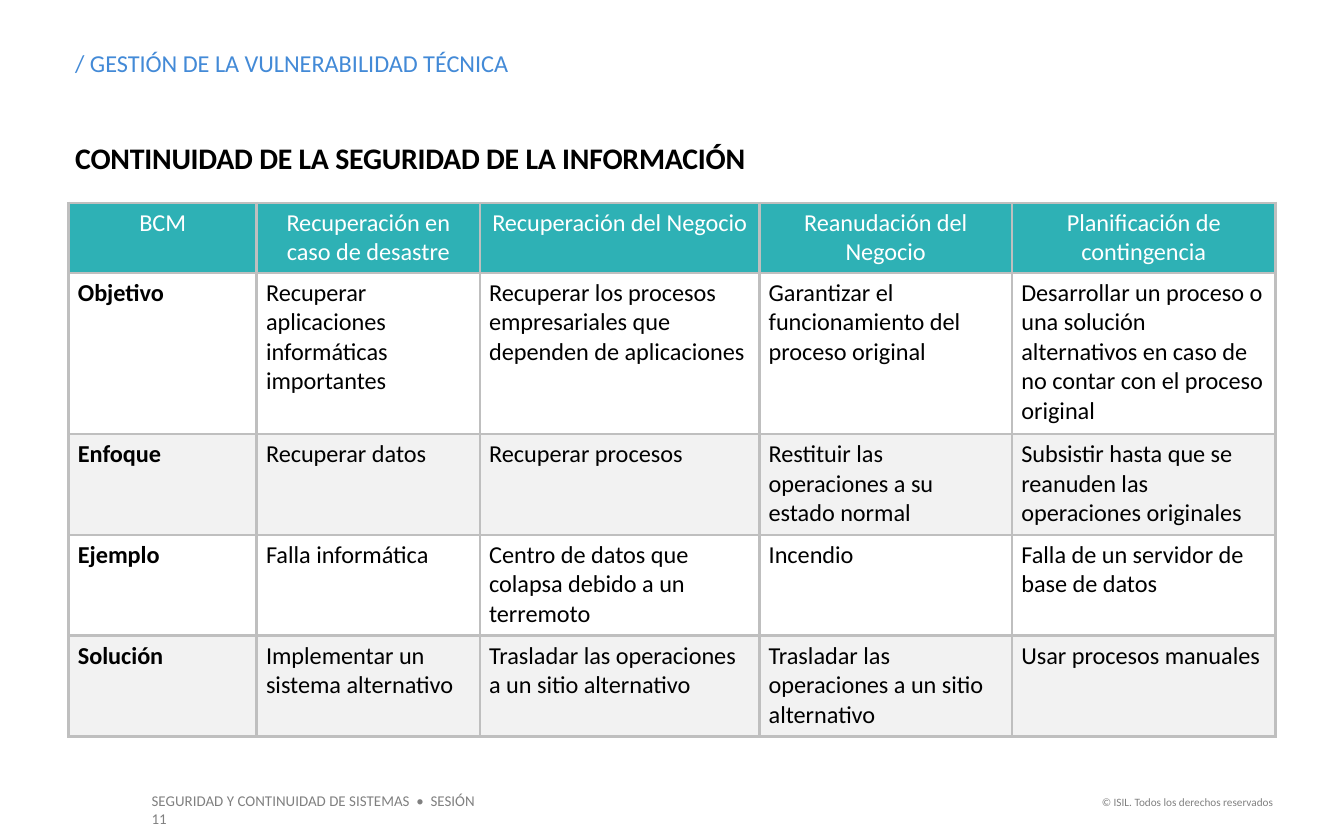
from lxml.etree import SubElement
from pptx import Presentation
from pptx.dml.color import RGBColor
from pptx.enum.text import MSO_ANCHOR as Anchor, MSO_AUTO_SIZE as AutoSize, PP_ALIGN as Align
from pptx.oxml.ns import qn
from pptx.util import Inches, Pt

BLACK = RGBColor(0x00, 0x00, 0x00)
WHITE = RGBColor(0xFF, 0xFF, 0xFF)
BLUE = RGBColor(0x43, 0x8A, 0xD7)
TEAL = RGBColor(0x2E, 0xB1, 0xB5)
LIGHT_GRAY = RGBColor(0xF2, 0xF2, 0xF2)
BORDER_GRAY = RGBColor(0xBF, 0xBF, 0xBF)
FOOTER_GRAY = RGBColor(0x80, 0x80, 0x80)


def write_text(frame, text, size, color, bold=False, align=Align.LEFT, margins=(0, 0)):
    frame.word_wrap = True
    frame.auto_size = AutoSize.NONE
    frame.vertical_anchor = Anchor.TOP
    frame.margin_left = frame.margin_right = Inches(margins[0])
    frame.margin_top = frame.margin_bottom = Inches(margins[1])
    para = frame.paragraphs[0]
    para.alignment = align
    span = para.add_run()
    span.text = text
    span.font.name = "Calibri"
    span.font.size = Pt(size)
    span.font.bold = bold
    span.font.color.rgb = color
    return span


def add_borders(cell):
    properties = cell._tc.get_or_add_tcPr()
    for index, side in enumerate(("a:lnL", "a:lnR", "a:lnT", "a:lnB")):
        line = properties.makeelement(qn(side), {"w": str(Pt(1.5))})
        fill = SubElement(line, qn("a:solidFill"))
        SubElement(fill, qn("a:srgbClr"), val=str(BORDER_GRAY))
        properties.insert(index, line)


deck = Presentation()
deck.slide_width = Inches(10)
deck.slide_height = Inches(6.25)
page = deck.slides.add_slide(deck.slide_layouts[5])

title = page.shapes.title
title.left, title.top = Inches(0.56), Inches(1.04)
title.width, title.height = Inches(8.93), Inches(0.27)
title_span = write_text(title.text_frame, "CONTINUIDAD DE LA SEGURIDAD DE LA INFORMACIÓN",
                        16, BLACK, bold=True)
title_span.font._element.set("spc", "-10")

labels = [
    ("/ GESTIÓN DE LA VULNERABILIDAD TÉCNICA",
     (0.56, 0.36, 6.6, 0.22), 13, BLUE, Align.LEFT, (0, 0)),
    ("SEGURIDAD Y CONTINUIDAD DE SISTEMAS  •  SESIÓN 11",
     (1.03, 5.84, 2.74, 0.24), 8, FOOTER_GRAY, Align.LEFT, (0.1, 0.05)),
    ("© ISIL. Todos los derechos reservados",
     (8.07, 5.87, 1.5, 0.2), 6, FOOTER_GRAY, Align.RIGHT, (0.1, 0.05)),
]
for text, place, size, color, align, margins in labels:
    box = page.shapes.add_textbox(*map(Inches, place))
    write_text(box.text_frame, text, size, color, align=align, margins=margins)

rows = [
    ["BCM", "Recuperación en caso de desastre", "Recuperación del Negocio",
     "Reanudación del Negocio", "Planificación de contingencia"],
    ["Objetivo", "Recuperar aplicaciones informáticas importantes",
     "Recuperar los procesos empresariales que dependen de aplicaciones",
     "Garantizar el funcionamiento del proceso original",
     "Desarrollar un proceso o una solución alternativos en caso de no contar "
     "con el proceso original"],
    ["Enfoque", "Recuperar datos", "Recuperar procesos",
     "Restituir las operaciones a su estado normal",
     "Subsistir hasta que se reanuden las operaciones originales"],
    ["Ejemplo", "Falla informática", "Centro de datos que colapsa debido a un terremoto",
     "Incendio", "Falla de un servidor de base de datos"],
    ["Solución", "Implementar un sistema alternativo",
     "Trasladar las operaciones a un sitio alternativo",
     "Trasladar las operaciones a un sitio alternativo", "Usar procesos manuales"],
]
column_widths = [1.4, 1.66, 2.08, 1.88, 1.96]
row_heights = [0.52, 1.2, 0.75, 0.75, 0.75]

table = page.shapes.add_table(len(rows), len(column_widths), Inches(0.51), Inches(1.51),
                              Inches(sum(column_widths)), Inches(sum(row_heights))).table
for column, width in zip(table.columns, column_widths):
    column.width = Inches(width)
for row, height in zip(table.rows, row_heights):
    row.height = Inches(height)

for row_index, texts in enumerate(rows):
    header = row_index == 0
    row_fill = TEAL if header else (LIGHT_GRAY, WHITE)[row_index % 2]
    for column_index, text in enumerate(texts):
        cell = table.cell(row_index, column_index)
        cell.fill.solid()
        cell.fill.fore_color.rgb = row_fill
        cell.margin_left = cell.margin_right = Inches(0.07)
        cell.margin_top = cell.margin_bottom = Inches(0.04)
        para = cell.text_frame.paragraphs[0]
        para.alignment = Align.CENTER if header else Align.LEFT
        span = para.add_run()
        span.text = text
        span.font.name = "Calibri"
        span.font.size = Pt(13)
        span.font.bold = not header and column_index == 0
        span.font.color.rgb = WHITE if header else BLACK
        add_borders(cell)

deck.save("out.pptx")
